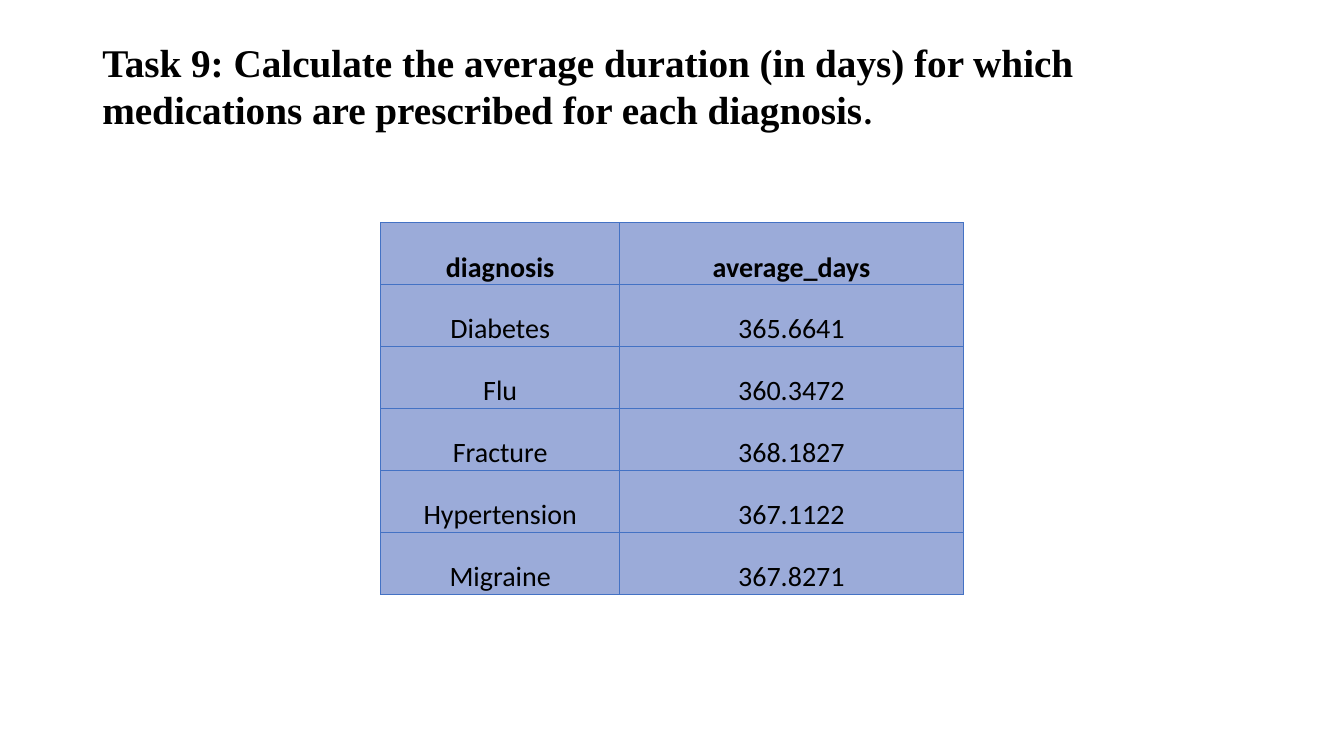
from dataclasses import dataclass

from lxml.etree import SubElement
from pptx import Presentation
from pptx.dml.color import RGBColor
from pptx.enum.text import MSO_ANCHOR, PP_ALIGN
from pptx.oxml.ns import qn
from pptx.util import Pt


@dataclass(frozen=True)
class Theme:
    ink: RGBColor = RGBColor.from_string("000000")
    cell: RGBColor = RGBColor.from_string("9BABD9")
    border: str = "4472C4"
    heading_font: str = "Times New Roman"
    body_font: str = "Calibri"
    heading_size: Pt = Pt(28)
    stop_size: Pt = Pt(32)
    body_size: Pt = Pt(20)
    border_width: Pt = Pt(0.5)


theme = Theme()


def style_font(font, name, size, bold):
    font.name = name
    font.size = size
    font.bold = bold
    font.color.rgb = theme.ink


def add_borders(cell):
    properties = cell._tc.get_or_add_tcPr()
    for side in ("a:lnL", "a:lnR", "a:lnT", "a:lnB"):
        line = SubElement(properties, qn(side), w=str(theme.border_width))
        fill = SubElement(line, qn("a:solidFill"))
        SubElement(fill, qn("a:srgbClr"), val=theme.border)


presentation = Presentation()
presentation.slide_width = Pt(960)
presentation.slide_height = Pt(540)
slide = presentation.slides.add_slide(presentation.slide_layouts[6])

heading = slide.shapes.add_textbox(Pt(66), Pt(28.8), Pt(828), Pt(104.4)).text_frame
heading.word_wrap = True
heading.vertical_anchor = MSO_ANCHOR.TOP
heading.margin_top = Pt(2)
task = heading.paragraphs[0]
task.line_spacing = 0.9
question = task.add_run()
question.text = (
    "Task 9: Calculate the average duration (in days) for which "
    "medications are prescribed for each diagnosis"
)
style_font(question.font, theme.heading_font, theme.heading_size, True)
full_stop = task.add_run()
full_stop.text = "."
style_font(full_stop.font, theme.body_font, theme.stop_size, False)

averages = [
    ("diagnosis", "average_days"),
    ("Diabetes", "365.6641"),
    ("Flu", "360.3472"),
    ("Fracture", "368.1827"),
    ("Hypertension", "367.1122"),
    ("Migraine", "367.8271"),
]
column_widths = [Pt(170.8), Pt(245.4)]
row_height = Pt(44.3)

durations = slide.shapes.add_table(
    len(averages), len(column_widths), Pt(271.9), Pt(159),
    sum(column_widths), row_height * len(averages),
).table
durations.horz_banding = False
for column, width in zip(durations.columns, column_widths):
    column.width = width

for row_index, record in enumerate(averages):
    durations.rows[row_index].height = row_height
    for column_index, value in enumerate(record):
        cell = durations.cell(row_index, column_index)
        cell.text = value
        cell.vertical_anchor = MSO_ANCHOR.BOTTOM
        cell.margin_left = cell.margin_right = cell.margin_top = Pt(0.72)
        cell.margin_bottom = Pt(0)
        add_borders(cell)
        cell.fill.solid()
        cell.fill.fore_color.rgb = theme.cell
        entry = cell.text_frame.paragraphs[0]
        entry.alignment = PP_ALIGN.CENTER
        style_font(entry.font, theme.body_font, theme.body_size, row_index == 0)

presentation.save("out.pptx")
